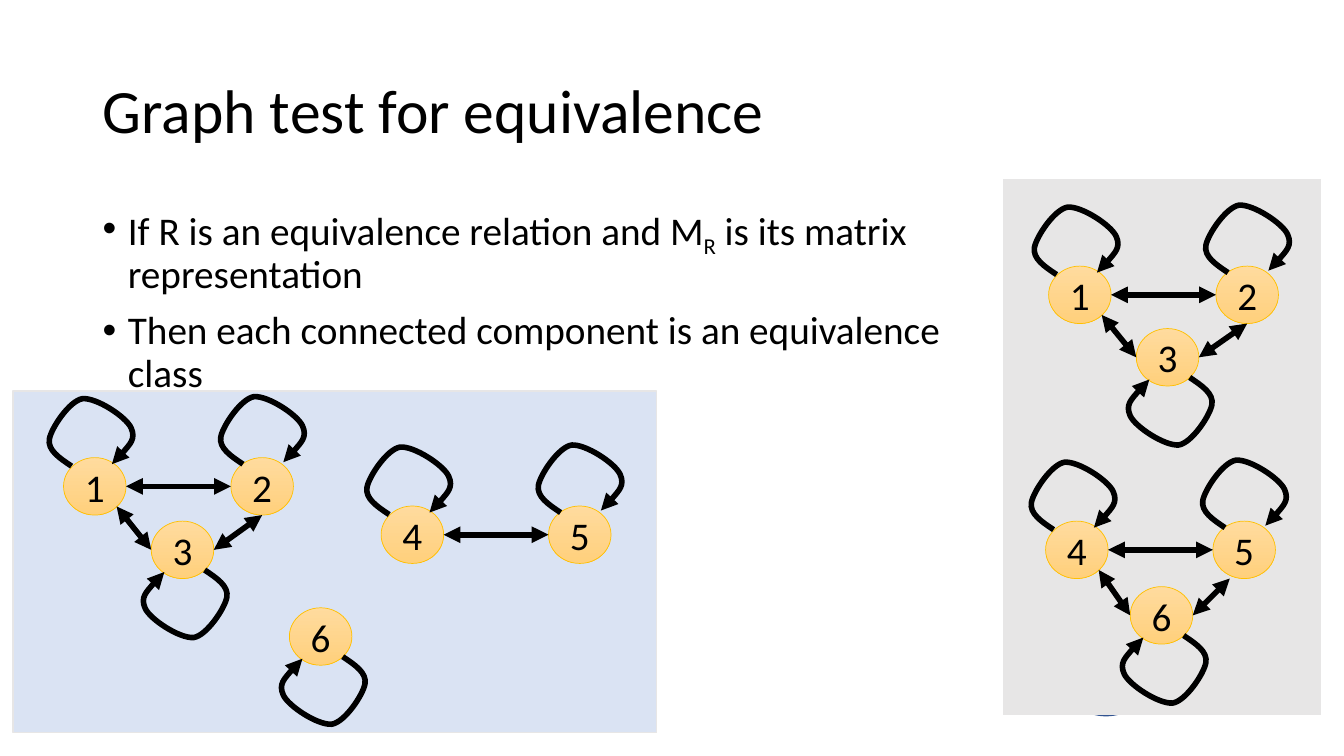
from dataclasses import dataclass

from pptx import Presentation
from pptx.dml.color import RGBColor
from pptx.enum.shapes import MSO_CONNECTOR, MSO_SHAPE
from pptx.enum.text import MSO_ANCHOR, MSO_AUTO_SIZE, PP_ALIGN
from pptx.oxml.ns import qn
from pptx.oxml.xmlchemy import OxmlElement
from pptx.util import Inches, Pt

OVAL, RECTANGLE = MSO_SHAPE.OVAL, MSO_SHAPE.RECTANGLE
STRAIGHT = MSO_CONNECTOR.STRAIGHT
LEFT, CENTER = PP_ALIGN.LEFT, PP_ALIGN.CENTER
TOP, MIDDLE = MSO_ANCHOR.TOP, MSO_ANCHOR.MIDDLE
NO_FIT = MSO_AUTO_SIZE.NONE


@dataclass(frozen=True)
class Theme:
    """Colours, font and type sizes of the slide."""
    font: str = "Calibri"
    ink: str = "000000"
    blue_panel: str = "DAE3F3"
    grey_panel: str = "E7E6E6"
    disc: str = "4472C4"
    disc_line: str = "325491"
    node_top: str = "FFDB9E"
    node_bottom: str = "FFD07C"
    node_line: str = "FFC000"
    title_size: int = 44
    body_size: int = 28
    edge_width: int = 4


THEME = Theme()
NODE_WIDTH, NODE_HEIGHT = 0.62, 0.57
SITES = {
    "left": (0, 0.5),
    "right": (1, 0.5),
    "bottom": (0.5, 1),
    "lower right": (0.85, 0.85),
    "lower left": (0.27, 1),
}
LOOP = [
    (0.22, 0.2),
    (0.34, 0.28), (0.46, 0.36), (0.44, 0.47),
    (0.42, 0.58), (0.24, 0.85), (0.11, 0.87),
    (-0.03, 0.88), (-0.32, 0.69), (-0.37, 0.58),
    (-0.42, 0.47), (-0.3, 0.34), (-0.18, 0.22),
]
LOOP_PLACES = {
    "below": (1, 0, 0),
    "above left": (-1, -0.01, 0),
    "above right": (-1, 0.03, -0.02),
}
BULLETS = [
    [("If R is an equivalence relation and M", 0), ("R", -25000),
     (" is its matrix representation", 0)],
    [("Then each connected component is an equivalence class", 0)],
]
BLUE_GRAPH = {
    "nodes": {
        "1": (0.5, 0.66, "above left"),
        "2": (2.16, 0.66, "above right"),
        "3": (1.37, 1.29, "below"),
        "4": (3.65, 1.14, "above left"),
        "5": (5.31, 1.14, "above right"),
        "6": (2.74, 2.15, "below"),
    },
    "edges": [
        ("2", "bottom", "3", "right"),
        ("3", "left", "1", "lower right"),
        ("2", "left", "1", "right"),
        ("5", "left", "4", "right"),
    ],
}
GREY_GRAPH = {
    "nodes": {
        "1": (0.45, 0.86, "above left"),
        "2": (2.11, 0.86, "above right"),
        "3": (1.32, 1.48, "below"),
        "4": (0.42, 3.39, "above left"),
        "5": (2.08, 3.39, "above right"),
        "6": (1.26, 4.04, "below"),
    },
    "edges": [
        ("2", "bottom", "3", "right"),
        ("3", "left", "1", "lower right"),
        ("2", "left", "1", "right"),
        ("5", "left", "4", "right"),
        ("6", "left", "4", "lower right"),
        ("5", "lower left", "6", "right"),
    ],
}


def apply(target, values):
    """Set every attribute in values on the target."""
    for name, value in values.items():
        setattr(target, name, value)


def add_span(para, text, size, baseline=0):
    """Add formatted text to a paragraph."""
    span = para.add_run()
    span.text = text
    apply(span.font, {"name": THEME.font, "size": Pt(size), "bold": False})
    span.font.color.rgb = RGBColor.from_string(THEME.ink)
    if baseline:
        span._r.get_or_add_rPr().set("baseline", str(baseline))


def set_line(line, color, width):
    """Give an outline its colour and width."""
    line.color.rgb = RGBColor.from_string(color)
    line.width = Pt(width)


def add_arrowheads(shape, ends):
    """Put triangles at the named ends of a shape's line."""
    outline = shape._element.spPr.find(qn("a:ln"))
    for end in ends:
        head = OxmlElement(f"a:{end}")
        head.set("type", "triangle")
        outline.append(head)


def add_shape(page, kind, box, fill, outline, width=1):
    """Add a flat preset shape in the box."""
    shape = page.shapes.add_shape(kind, *map(Inches, box))
    shape.shadow.inherit = False
    shape.fill.solid()
    shape.fill.fore_color.rgb = RGBColor.from_string(fill)
    set_line(shape.line, outline, width)
    return shape


def add_title(page, text, box):
    """Place and format the title placeholder in the box."""
    title = page.shapes.title
    apply(title, dict(zip(("left", "top", "width", "height"), map(Inches, box))))
    apply(title.text_frame, {"vertical_anchor": MIDDLE, "word_wrap": True,
                             "auto_size": NO_FIT})
    para = title.text_frame.paragraphs[0]
    apply(para, {"alignment": LEFT, "line_spacing": 0.9})
    add_span(para, text, THEME.title_size)


def add_bullets(page, bullets, box):
    """Write the bulleted paragraphs in the box."""
    frame = page.shapes.add_textbox(*map(Inches, box)).text_frame
    apply(frame, {"word_wrap": True, "vertical_anchor": TOP})
    for index, spans in enumerate(bullets):
        para = frame.add_paragraph() if index else frame.paragraphs[0]
        apply(para, {"alignment": LEFT, "line_spacing": 0.9, "space_before": Pt(10)})
        properties = para._p.get_or_add_pPr()
        properties.set("marL", str(Inches(0.25)))
        properties.set("indent", str(Inches(-0.25)))
        for tag, key, value in (("a:buFont", "typeface", "Arial"),
                                ("a:buChar", "char", "•")):
            bullet = OxmlElement(tag)
            bullet.set(key, value)
            properties.append(bullet)
        for text, baseline in spans:
            add_span(para, text, THEME.body_size, baseline)


def add_node(page, label, left, top):
    """Draw a numbered graph node."""
    box = (left, top, NODE_WIDTH, NODE_HEIGHT)
    node = add_shape(page, OVAL, box, THEME.node_top, THEME.node_line, 0.5)
    node.fill.gradient()
    node.fill.gradient_angle = 270
    for stop, color in zip(node.fill.gradient_stops, (THEME.node_top, THEME.node_bottom)):
        stop.color.rgb = RGBColor.from_string(color)
    frame = node.text_frame
    apply(frame, {"vertical_anchor": MIDDLE, "word_wrap": True,
                  "margin_left": 0, "margin_right": 0})
    frame.paragraphs[0].alignment = CENTER
    add_span(frame.paragraphs[0], label, THEME.body_size)


def add_loop(page, left, top, place):
    """Draw a curved arrow from a node back to itself."""
    sign, shift_x, shift_y = LOOP_PLACES[place]
    center_x = left + NODE_WIDTH / 2 + shift_x
    center_y = top + NODE_HEIGHT / 2 + shift_y
    points = [(Inches(center_x + sign * x), Inches(center_y + sign * y)) for x, y in LOOP]
    builder = page.shapes.build_freeform(*points[0])
    builder.add_line_segments(points[1:], close=False)
    loop = builder.convert_to_shape()
    segments = list(loop._element.iter(qn("a:lnTo")))
    for start in range(0, len(segments), 3):
        curve = OxmlElement("a:cubicBezTo")
        segments[start].addprevious(curve)
        for segment in segments[start:start + 3]:
            curve.append(segment[0])
            segment.getparent().remove(segment)
    loop.shadow.inherit = False
    loop.fill.background()
    set_line(loop.line, THEME.ink, THEME.edge_width)
    add_arrowheads(loop, ["tailEnd"])


def add_edge(page, start, end):
    """Draw a two-headed arrow between two points."""
    edge = page.shapes.add_connector(STRAIGHT, *map(Inches, start + end))
    set_line(edge.line, THEME.ink, THEME.edge_width)
    add_arrowheads(edge, ["headEnd", "tailEnd"])
    edge._element.spPr.append(OxmlElement("a:effectLst"))


def add_graph(page, graph, box):
    """Draw nodes, loops and edges relative to the box."""
    origin_x, origin_y = box[:2]
    nodes = {label: (origin_x + x, origin_y + y, place)
             for label, (x, y, place) in graph["nodes"].items()}
    for label, (left, top, place) in nodes.items():
        add_node(page, label, left, top)
        add_loop(page, left, top, place)
    for first, first_site, second, second_site in graph["edges"]:
        ends = [(nodes[label][0] + SITES[site][0] * NODE_WIDTH,
                 nodes[label][1] + SITES[site][1] * NODE_HEIGHT)
                for label, site in ((first, first_site), (second, second_site))]
        add_edge(page, *ends)


def main():
    """Build and save the slide."""
    deck = Presentation()
    apply(deck, {"slide_width": Inches(13.33), "slide_height": Inches(7.5)})
    page = deck.slides.add_slide(deck.slide_layouts[5])
    blue_box, grey_box = (0.13, 3.88, 6.38, 3.39), (9.95, 1.78, 3.15, 5.31)
    add_shape(page, RECTANGLE, blue_box, THEME.blue_panel, THEME.grey_panel)
    add_title(page, "Graph test for equivalence", (0.92, 0.4, 11.5, 1.45))
    add_bullets(page, BULLETS, (0.92, 2, 8.85, 4.76))
    add_shape(page, OVAL, (10.47, 6.1, 1, 1), THEME.disc, THEME.disc_line)
    add_shape(page, RECTANGLE, grey_box, THEME.grey_panel, THEME.grey_panel)
    add_graph(page, GREY_GRAPH, grey_box)
    add_graph(page, BLUE_GRAPH, blue_box)
    deck.save("out.pptx")


if __name__ == "__main__":
    main()
